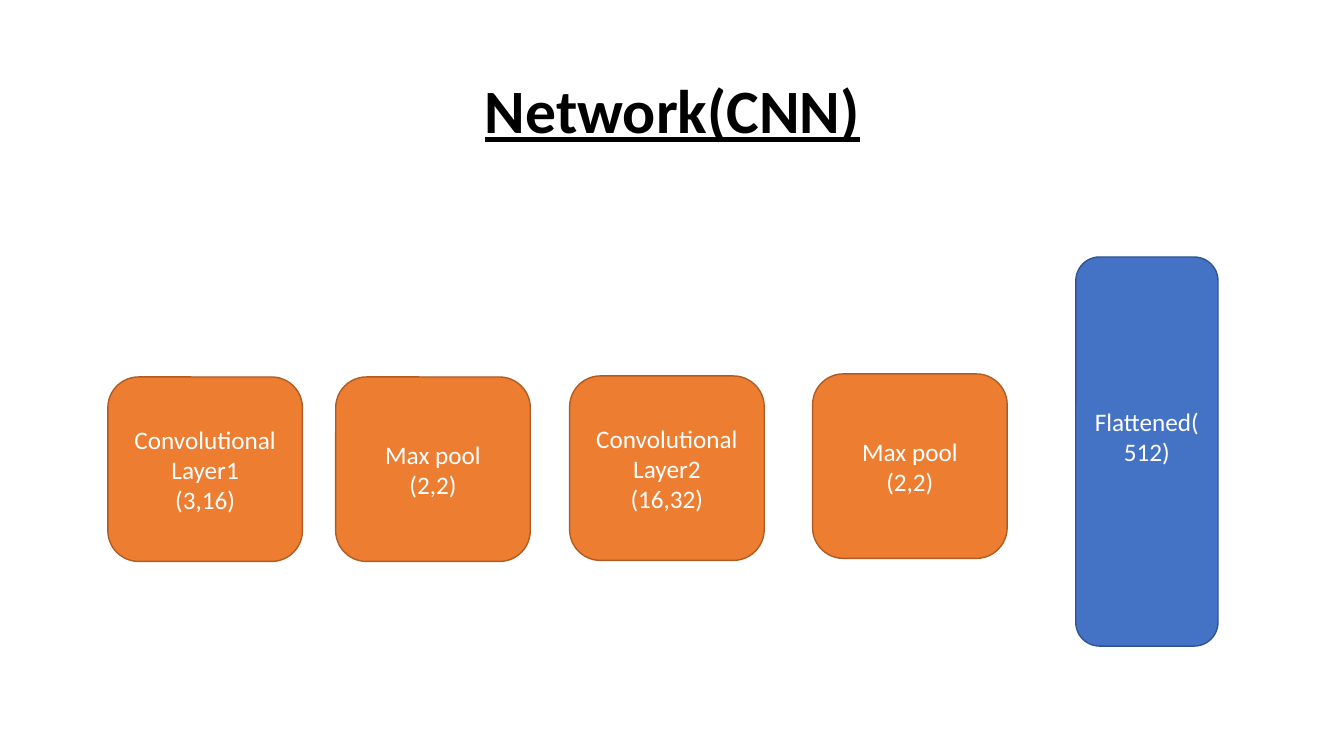
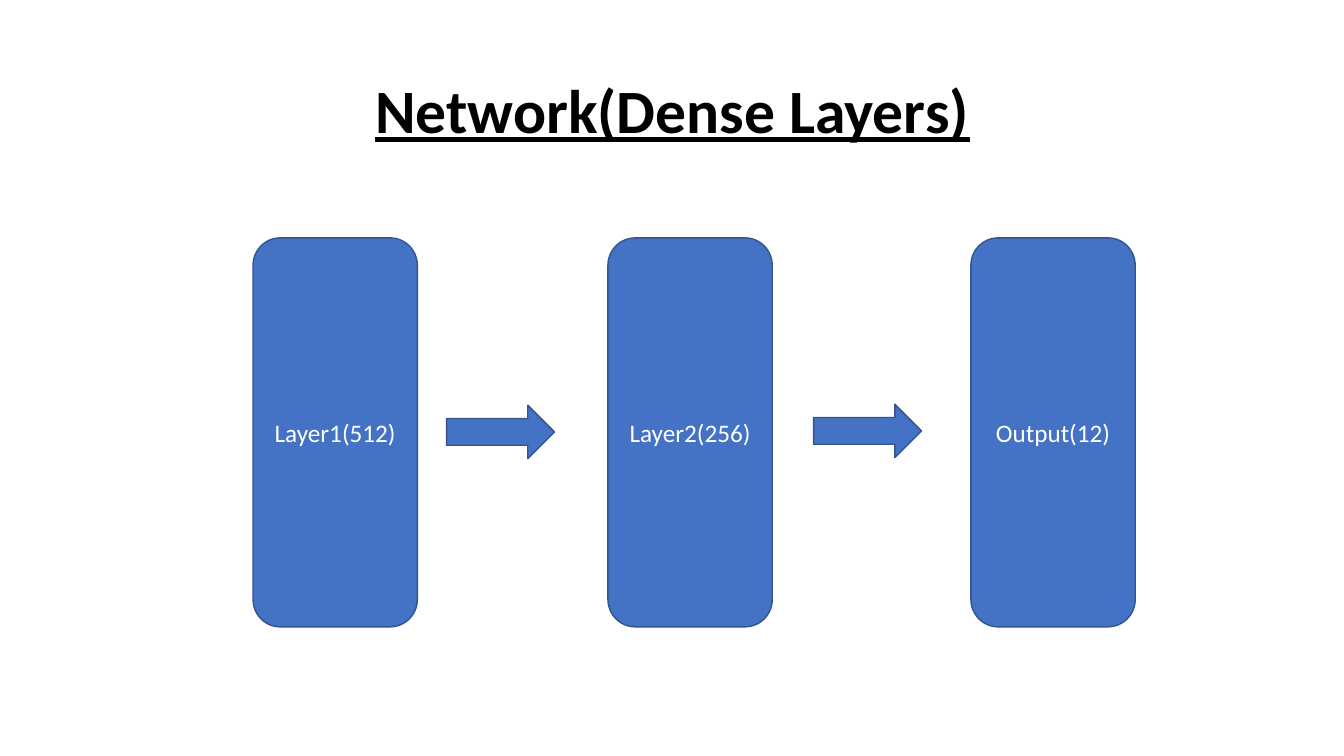
import pptx
import pptx.util
import pptx.dml.color
import pptx.enum.shapes
import pptx.enum.text

Inches = pptx.util.Inches
Shapes = pptx.enum.shapes.MSO_SHAPE

COLOURS = {
    "title": "000000",
    "label": "FFFFFF",
    "orange": "ED7D31",
    "orange edge": "AF5C24",
    "blue": "4472C4",
    "blue edge": "325491",
}


def rgb(name):
    return pptx.dml.color.RGBColor.from_string(COLOURS[name])


def write_text(box, text, size=18, colour="label", bold=False, underline=False, spacing=1.0):
    frame = box.text_frame
    frame.word_wrap = True
    frame.auto_size = pptx.enum.text.MSO_AUTO_SIZE.NONE
    frame.vertical_anchor = pptx.enum.text.MSO_ANCHOR.MIDDLE
    frame.text = text
    for para in frame.paragraphs:
        para.alignment = pptx.enum.text.PP_ALIGN.CENTER
        para.line_spacing = spacing
        for span in para.runs:
            span.font.name = "Calibri"
            span.font.size = pptx.util.Pt(size)
            span.font.bold = bold
            span.font.underline = underline
            span.font.color.rgb = rgb(colour)


deck = pptx.Presentation()
deck.slide_width = Inches(13.33)
deck.slide_height = Inches(7.5)

rounded = Shapes.ROUNDED_RECTANGLE
conv_size = (1.93, 1.83)
dense_size = (1.63, 3.86)
arrow_size = (1.07, 0.53)

slides = [
    ("Network(CNN)", [
        (rounded, "orange", 1.07, 3.74, conv_size, "Convolutional Layer1\n(3,16)", 0.05),
        (rounded, "orange", 3.33, 3.74, conv_size, "Max pool\n(2,2)", 0.05),
        (rounded, "orange", 5.65, 3.73, conv_size, "Convolutional Layer2\n(16,32)", 0.05),
        (rounded, "orange", 8.06, 3.71, conv_size, "Max pool\n(2,2)", 0.05),
        (rounded, "blue", 10.67, 2.55, (1.41, 3.86), "Flattened(512)", 0.35),
    ]),
    ("Network(Dense Layers)", [
        (rounded, "blue", 2.51, 2.36, dense_size, "Layer1(512)", 0.05),
        (rounded, "blue", 6.03, 2.36, dense_size, "Layer2(256)", 0.05),
        (rounded, "blue", 9.63, 2.36, dense_size, "Output(12)", 0.05),
        (Shapes.RIGHT_ARROW, "blue", 4.43, 4.02, arrow_size, "", 0.05),
        (Shapes.RIGHT_ARROW, "blue", 8.07, 4.01, arrow_size, "", 0.05),
    ]),
]

for heading, blocks in slides:
    page = deck.slides.add_slide(deck.slide_layouts[5])
    title = page.shapes.title
    title.left, title.top = Inches(0.92), Inches(0.4)
    title.width, title.height = Inches(11.5), Inches(1.45)
    write_text(title, heading, size=44, colour="title", bold=True, underline=True, spacing=0.9)

    for kind, colour, left, top, (width, height), label, bottom_margin in blocks:
        box = page.shapes.add_shape(kind, Inches(left), Inches(top), Inches(width), Inches(height))
        box.shadow.inherit = False
        box.fill.solid()
        box.fill.fore_color.rgb = rgb(colour)
        box.line.color.rgb = rgb(colour + " edge")
        box.line.width = pptx.util.Pt(1)
        if label:
            write_text(box, label)
            box.text_frame.margin_bottom = Inches(bottom_margin)

deck.save("out.pptx")
